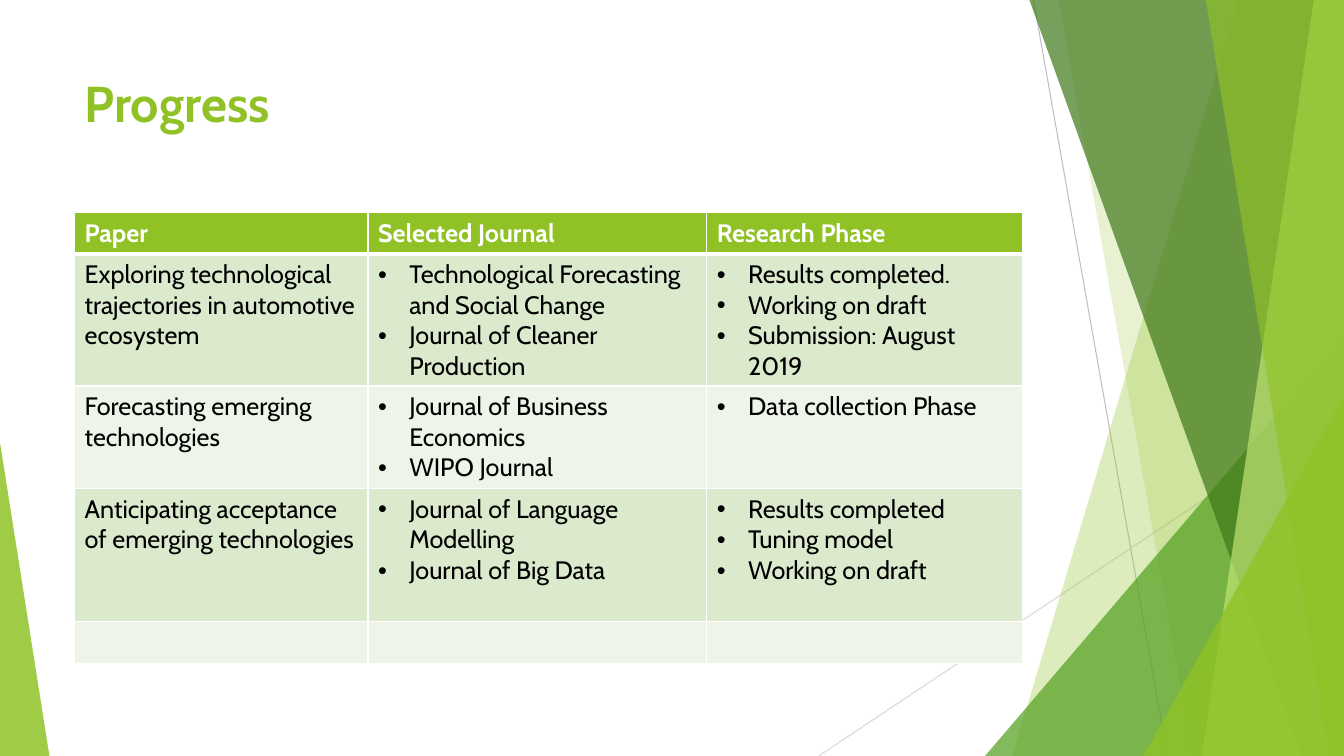
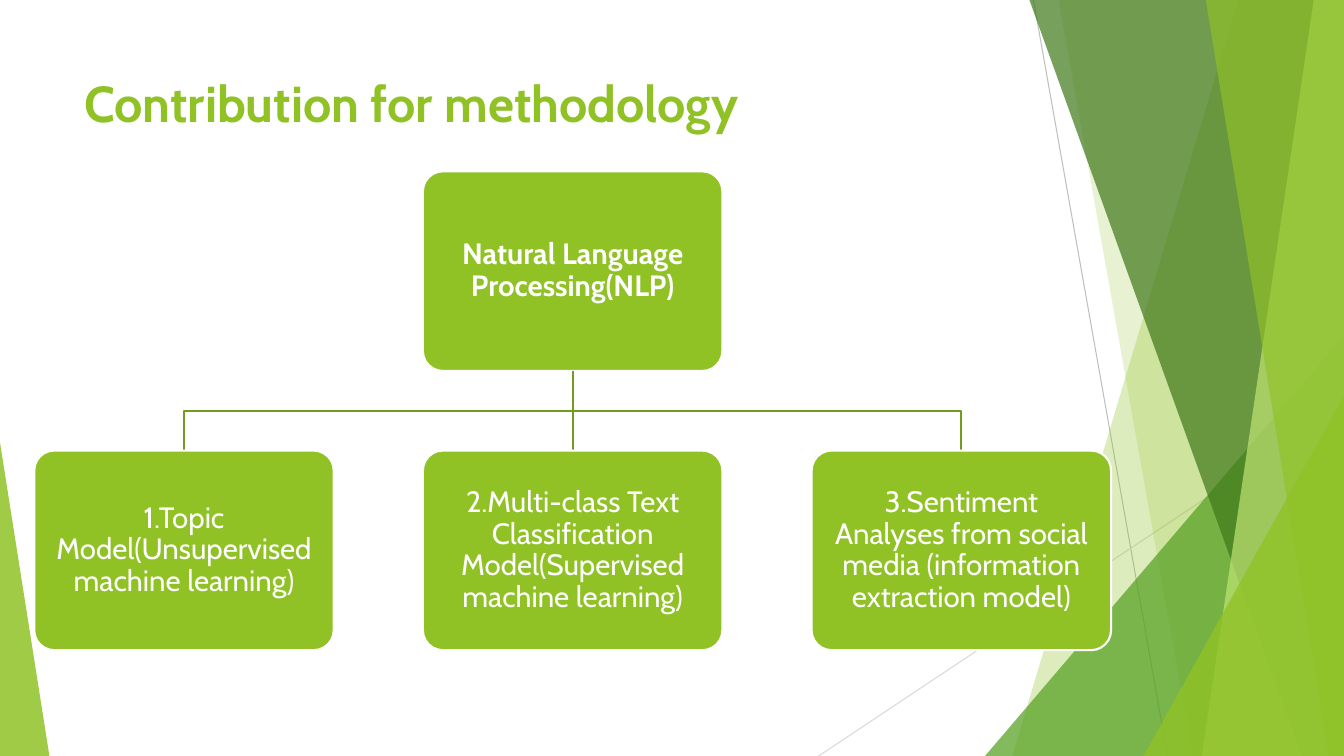
from lxml import etree
from pptx import Presentation
from pptx.dml.color import RGBColor
from pptx.enum.shapes import MSO_CONNECTOR, MSO_SHAPE
from pptx.enum.text import MSO_ANCHOR, PP_ALIGN
from pptx.oxml.ns import qn
from pptx.util import Inches, Pt

STRAIGHT = MSO_CONNECTOR.STRAIGHT
TRIANGLE, ROUNDED = MSO_SHAPE.ISOSCELES_TRIANGLE, MSO_SHAPE.ROUNDED_RECTANGLE
TOP, MIDDLE = MSO_ANCHOR.TOP, MSO_ANCHOR.MIDDLE
CENTER = PP_ALIGN.CENTER
TOP_SIDE, BOTTOM_SIDE = 0, 2

WIDTH, HEIGHT = 13.33, 7.5
FONT = "Cabin"
WHITE = RGBColor(0xFF, 0xFF, 0xFF)
BLACK = RGBColor(0x00, 0x00, 0x00)
LIME = RGBColor(0x90, 0xC2, 0x26)
GREEN = RGBColor(0x54, 0xA0, 0x21)
FOREST = RGBColor(0x3F, 0x78, 0x19)
PALE_LIME = RGBColor(0xC0, 0xE4, 0x74)
OLIVE = RGBColor(0x73, 0x9B, 0x1E)
GREY = RGBColor(0xBF, 0xBF, 0xBF)
LIGHT_GREY = RGBColor(0xD9, 0xD9, 0xD9)
ROW_DARK = RGBColor(0xDB, 0xE9, 0xCD)
ROW_LIGHT = RGBColor(0xEE, 0xF4, 0xE8)

TITLE_BOX = (0.74, 0.67, 9.4, 1.44)
TABLE_BOX = (0.74, 2.11, 9.4, 4.47)
CHART_BOX = (0.34, 1.7, 10.68, 4.75)

# Facets from back to front: bands give left edge at top and bottom,
# triangles give left, top, width and apex position.
FACETS = [
    ("band", (12.28, 10.04), LIME, 30),
    ("band", (10.5, 11.83), LIME, 20),
    ("triangle", (9.77, 3.33, 3.56, 1), GREEN, 72),
    ("band", (10.21, 12.91), FOREST, 70),
    ("band", (13.03, 11.92), PALE_LIME, 70),
    ("band", (11.96, 13.18), LIME, 65),
    ("triangle", (11.34, 3.93, 1.99, 1), LIME, 80),
    ("triangle", (0, 4.39, 0.49, 0), LIME, 85),
]

COLUMN_WIDTHS = [2.91, 3.36, 3.13]
ROW_HEIGHTS = [0.41, 1.31, 1.02, 1.32, 0.41]
HEADINGS = ["Paper", "Selected Journal", "Research Phase"]
PAPERS = [
    ("Exploring technological trajectories in automotive ecosystem",
     ["Technological Forecasting and Social Change",
      "Journal of Cleaner Production"],
     ["Results completed.", "Working on draft", "Submission: August 2019"]),
    ("Forecasting emerging technologies",
     ["Journal of Business Economics", "WIPO Journal"],
     ["Data collection Phase"]),
    ("Anticipating acceptance of emerging technologies",
     ["Journal of Language Modelling", "Journal of Big Data"],
     ["Results completed", "Tuning model", "Working on draft"]),
    ("", [], []),
]

METHOD = "Natural Language Processing(NLP)"
MODELS = [
    "1.Topic Model(Unsupervised machine learning)",
    "2.Multi-class Text Classification Model(Supervised machine learning)",
    "3.Sentiment Analyses from social media (information extraction model)",
]


def inches(*lengths):
    return [Inches(length) for length in lengths]


def write(paragraph, text, size, color, bold=False):
    run = paragraph.add_run()
    run.text = text
    formats = {"name": FONT, "size": Pt(size), "bold": bold}
    for name, value in formats.items():
        setattr(run.font, name, value)
    run.font.color.rgb = color


def set_frame(frame, anchor, **margins):
    frame.word_wrap = True
    frame.vertical_anchor = anchor
    for side, margin in margins.items():
        setattr(frame, "margin_" + side, Inches(margin))


def add_line(slide, start, end, color, width):
    line = slide.shapes.add_connector(STRAIGHT, *inches(*start, *end))
    line.line.color.rgb = color
    line.line.width = Pt(width)
    etree.SubElement(line._element.spPr, qn("a:effectLst"))
    return line


def add_outline(slide, points, close):
    corners = [tuple(inches(*point)) for point in points]
    builder = slide.shapes.build_freeform(*corners[0])
    builder.add_line_segments(corners[1:], close=close)
    outline = builder.convert_to_shape()
    outline.shadow.inherit = False
    return outline


def fill_translucent(shape, color, opacity):
    shape.fill.solid()
    shape.fill.fore_color.rgb = color
    shape.line.fill.background()
    shade = shape._element.spPr.find(".//" + qn("a:srgbClr"))
    etree.SubElement(shade, qn("a:alpha"), val=str(opacity * 1000))


def add_facets(slide):
    add_line(slide, (10.25, 0), (11.58, HEIGHT), GREY, 0.75)
    add_line(slide, (WIDTH, 4.03), (8.12, HEIGHT), LIGHT_GREY, 0.75)
    for kind, place, color, opacity in FACETS:
        if kind == "band":
            top_x, bottom_x = place
            facet = add_outline(slide, [(top_x, 0), (WIDTH, 0), (WIDTH, HEIGHT),
                                        (bottom_x, HEIGHT)], close=True)
        else:
            left, top, width, apex = place
            facet = slide.shapes.add_shape(
                TRIANGLE, *inches(left, top, width, HEIGHT - top))
            facet.adjustments[0] = apex
            facet.shadow.inherit = False
        fill_translucent(facet, color, opacity)


def add_base(deck, title):
    """Add a slide with the facets and the title."""
    slide = deck.slides.add_slide(deck.slide_layouts[6])
    add_facets(slide)
    frame = slide.shapes.add_textbox(*inches(*TITLE_BOX)).text_frame
    set_frame(frame, TOP)
    write(frame.paragraphs[0], title, 36, LIME, bold=True)
    return slide


def add_bullet(paragraph):
    properties = paragraph._p.get_or_add_pPr()
    properties.set("marL", str(Inches(0.31)))
    properties.set("indent", str(Inches(-0.31)))
    etree.SubElement(properties, qn("a:buFont"), typeface="Arial")
    etree.SubElement(properties, qn("a:buChar"), char="•")


def style_cell(cell, color, top=1, bottom=1):
    """Give a cell white borders, then its fill."""
    properties = cell._tc.get_or_add_tcPr()
    for side, width in {"L": 1, "R": 1, "T": top, "B": bottom}.items():
        border = etree.SubElement(properties, qn("a:ln" + side), w=str(Pt(width)))
        paint = etree.SubElement(border, qn("a:solidFill"))
        etree.SubElement(paint, qn("a:srgbClr"), val=str(WHITE))
    cell.fill.solid()
    cell.fill.fore_color.rgb = color


def add_progress_table(slide, box):
    table = slide.shapes.add_table(
        len(ROW_HEIGHTS), len(COLUMN_WIDTHS), *inches(*box)).table
    table.first_row = table.horz_banding = False
    for column, width in zip(table.columns, COLUMN_WIDTHS):
        column.width = Inches(width)
    for row, height in zip(table.rows, ROW_HEIGHTS):
        row.height = Inches(height)

    for column, heading in enumerate(HEADINGS):
        cell = table.cell(0, column)
        style_cell(cell, LIME, bottom=3)
        write(cell.text_frame.paragraphs[0], heading, 18, WHITE, bold=True)

    for row, entries in enumerate(PAPERS, start=1):
        for column, entry in enumerate(entries):
            cell = table.cell(row, column)
            style_cell(cell, ROW_DARK if row % 2 else ROW_LIGHT,
                       top=3 if row == 1 else 1)
            bulleted = isinstance(entry, list)
            frame = cell.text_frame
            for index, text in enumerate(entry if bulleted else [entry]):
                paragraph = frame.add_paragraph() if index else frame.paragraphs[0]
                if bulleted:
                    add_bullet(paragraph)
                if text:
                    write(paragraph, text, 18, BLACK)


def add_node(slide, box, text, bold=False):
    node = slide.shapes.add_shape(ROUNDED, *inches(*box))
    node.adjustments[0] = 0.1
    node.shadow.inherit = False
    node.fill.solid()
    node.fill.fore_color.rgb = LIME
    node.line.color.rgb = WHITE
    node.line.width = Pt(1.5)
    set_frame(node.text_frame, MIDDLE, left=0.15, right=0.15, top=0.15, bottom=0.15)
    paragraph = node.text_frame.paragraphs[0]
    paragraph.alignment = CENTER
    paragraph.line_spacing = 0.9
    write(paragraph, text, 21, WHITE, bold)
    return node


def add_method_tree(slide, box):
    """Place the method above its models, each joined by a branch."""
    left, top, width, height = box
    node_width, node_height = 2.97, 1.98
    step = (width - node_width) / (len(MODELS) - 1)
    center = left + width / 2
    fork_top, models_top = top + node_height, top + height - node_height
    fork_middle = (fork_top + models_top) / 2

    method = add_node(slide, (center - node_width / 2, top, node_width, node_height),
                      METHOD, bold=True)
    for index, text in enumerate(MODELS):
        model_left = left + index * step
        model_center = model_left + node_width / 2
        start, end = (center, fork_top), (model_center, models_top)
        straight = abs(model_center - center) < 0.01
        if straight:
            branch = add_line(slide, start, end, OLIVE, 1.5)
        else:
            branch = add_outline(slide, [start, (center, fork_middle),
                                         (model_center, fork_middle), end], close=False)
            branch.fill.background()
            branch.line.color.rgb = OLIVE
            branch.line.width = Pt(1.5)
        model = add_node(slide, (model_left, models_top, node_width, node_height), text)
        if straight:
            branch.begin_connect(method, BOTTOM_SIDE)
            branch.end_connect(model, TOP_SIDE)


def main():
    deck = Presentation()
    deck.slide_width, deck.slide_height = inches(WIDTH, HEIGHT)
    add_progress_table(add_base(deck, "Progress"), TABLE_BOX)
    add_method_tree(add_base(deck, "Contribution for methodology"), CHART_BOX)
    deck.save("out.pptx")


if __name__ == "__main__":
    main()
